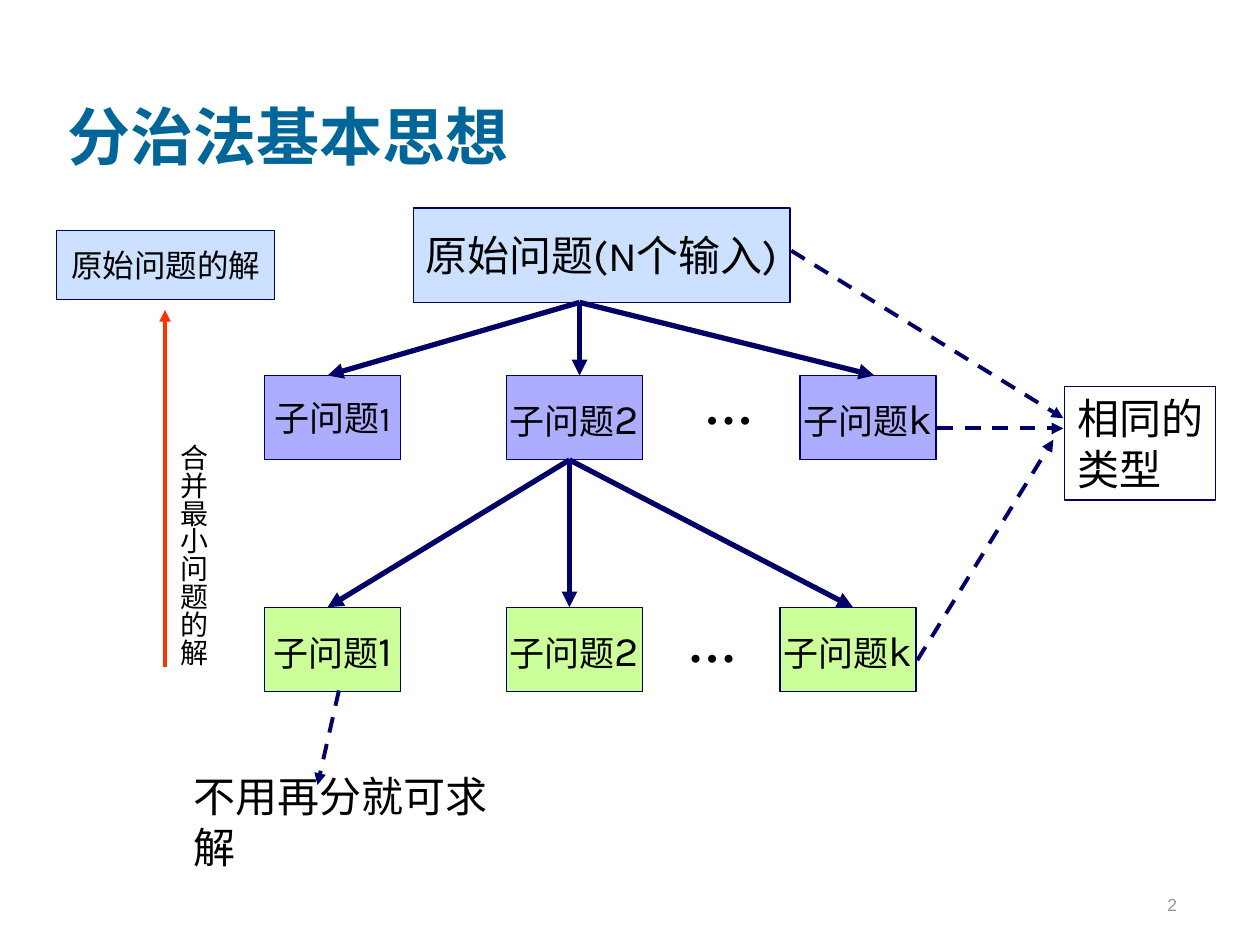
"""Build the slide on the basic idea of divide and conquer."""
import pptx
import pptx.dml.color
import pptx.enum.dml
import pptx.enum.shapes
import pptx.enum.text
import pptx.util
from lxml import etree
from pptx.oxml.ns import qn

Inches = pptx.util.Inches
Align = pptx.enum.text.PP_ALIGN
Anchor = pptx.enum.text.MSO_ANCHOR
Fit = pptx.enum.text.MSO_AUTO_SIZE

NAVY, BLUE, VIOLET, GREEN, RED = "000066", "CCE0FF", "ADADFF", "CCFF99", "FF3300"
SERIF, SANS = "Times New Roman", "Karla"
BOX_SIZE = (1.08, 0.67)
MARGINS = (0.1, 0.05, 0.1, 0.05)

BOXES = [
    ((3.28, 1.65, 2.99, 0.75), BLUE, [("原始问题(N个输入)", 24)], SANS),
    ((0.45, 1.83, 1.73, 0.55), BLUE, [("原始问题的解", 18)], SERIF),
]
LEVELS = [
    {"top": 2.98, "fill": VIOLET, "lefts": (2.1, 4.02, 6.35), "sizes": (20, 24, 24),
     "dots": (5.49, 2.93), "root": (4.6, 2.4), "ends": (2.6, 4.6, 6.94)},
    {"top": 4.82, "fill": GREEN, "lefts": (2.1, 4.02, 6.19), "sizes": (24, 24, 24),
     "dots": (5.36, 4.82), "root": (4.52, 3.65), "ends": (2.6, 4.52, 6.77)},
]
LABELS = [
    ((8.45, 3.07, 1.2, 0.9), ["相同的", "类型"], 24),
    ((1.44, 6.07, 2.86, 0.5), ["不用再分就可求解"], 24),
    ((1.26, 3.42, 0.46, 1.88), ["合并最小问题的解"], 16),
]
DASHED_ARROWS = [
    ((6.28, 1.99), (8.44, 3.32)),
    ((7.44, 3.4), (8.44, 3.4)),
    ((7.28, 5.24), (8.36, 3.49)),
    ((2.69, 5.48), (2.52, 6.23)),
]


def color(value):
    return pptx.dml.color.RGBColor.from_string(value)


def set_values(target, values):
    for name, value in values.items():
        setattr(target, name, value)


def write(box, paragraphs, font=SANS, ink="000000", bold=False, align=Align.LEFT,
          anchor=Anchor.TOP, wrap=False, fit=Fit.NONE, margins=MARGINS):
    frame = box.text_frame
    sides = ("margin_left", "margin_top", "margin_right", "margin_bottom")
    set_values(frame, dict(zip(sides, map(Inches, margins))))
    set_values(frame, {"word_wrap": wrap, "auto_size": fit, "vertical_anchor": anchor})
    for index, spans in enumerate(paragraphs):
        para = frame.add_paragraph() if index else frame.paragraphs[0]
        para.alignment = align
        for text, size in spans:
            span = para.add_run()
            span.text = text
            set_values(span.font, {"size": pptx.util.Pt(size), "name": font, "bold": bold})
            span.font.color.rgb = color(ink)


def add_text(page, place, paragraphs, **style):
    box = page.shapes.add_textbox(*map(Inches, place))
    write(box, paragraphs, **style)
    return box


def outline(shape):
    shape.line.color.rgb = color(NAVY)
    shape.line.width = pptx.util.Pt(0.75)


def add_box(page, place, fill, spans, font=SANS):
    box = page.shapes.add_shape(pptx.enum.shapes.MSO_SHAPE.RECTANGLE, *map(Inches, place))
    box.shadow.inherit = False
    box.fill.solid()
    box.fill.fore_color.rgb = color(fill)
    outline(box)
    write(box, [spans], font, align=Align.CENTER, anchor=Anchor.MIDDLE)


def add_arrow(page, start, end, width, ink=NAVY, dashed=False):
    arrow = page.shapes.add_connector(
        pptx.enum.shapes.MSO_CONNECTOR.STRAIGHT, *map(Inches, start + end))
    arrow.line.color.rgb = color(ink)
    arrow.line.width = pptx.util.Pt(width)
    if dashed:
        arrow.line.dash_style = pptx.enum.dml.MSO_LINE.DASH
    properties = arrow._element.spPr
    etree.SubElement(properties.find(qn("a:ln")), qn("a:tailEnd"), type="triangle")
    etree.SubElement(properties, qn("a:effectLst"))


def add_level(page, level):
    top = level["top"]
    for left, size, mark, end in zip(level["lefts"], level["sizes"], "12k", level["ends"]):
        add_box(page, (left, top) + BOX_SIZE, level["fill"], [("子问题", 20), (mark, size)])
        add_arrow(page, level["root"], (end, top), 3)
    add_text(page, level["dots"] + (0.59, 0.57), [[("…", 28)]],
             font=SERIF, bold=True, fit=Fit.SHAPE_TO_FIT_TEXT)


def main():
    deck = pptx.Presentation()
    set_values(deck, {"slide_width": Inches(10), "slide_height": Inches(7.5)})
    page = deck.slides.add_slide(deck.slide_layouts[6])
    add_text(page, (0.44, 0.17, 8.5, 1.25), [[("分治法基本思想", 36)]], font=SERIF,
             ink="006699", bold=True, anchor=Anchor.BOTTOM, wrap=True)
    add_text(page, (7.36, 6.81, 2.08, 0.5), [[("2", 10)]], font="Arial", ink="969696",
             align=Align.RIGHT, anchor=Anchor.BOTTOM, wrap=True)
    for box in BOXES:
        add_box(page, *box)
    for level in LEVELS:
        add_level(page, level)
    same_type, solvable, merge = [
        add_text(page, place, [[(line, size)] for line in lines], fit=Fit.SHAPE_TO_FIT_TEXT)
        for place, lines, size in LABELS]
    outline(same_type)
    merge.text_frame._txBody.bodyPr.set("vert", "eaVert")
    set_values(merge.text_frame, {
        "margin_left": Inches(0.05), "margin_top": Inches(0.1),
        "margin_right": Inches(0.05), "margin_bottom": Inches(0.1)})
    for start, end in DASHED_ARROWS:
        add_arrow(page, start, end, 2.25, dashed=True)
    add_arrow(page, (1.31, 5.29), (1.31, 2.46), 2.25, RED)
    deck.save("out.pptx")


if __name__ == "__main__":
    main()
